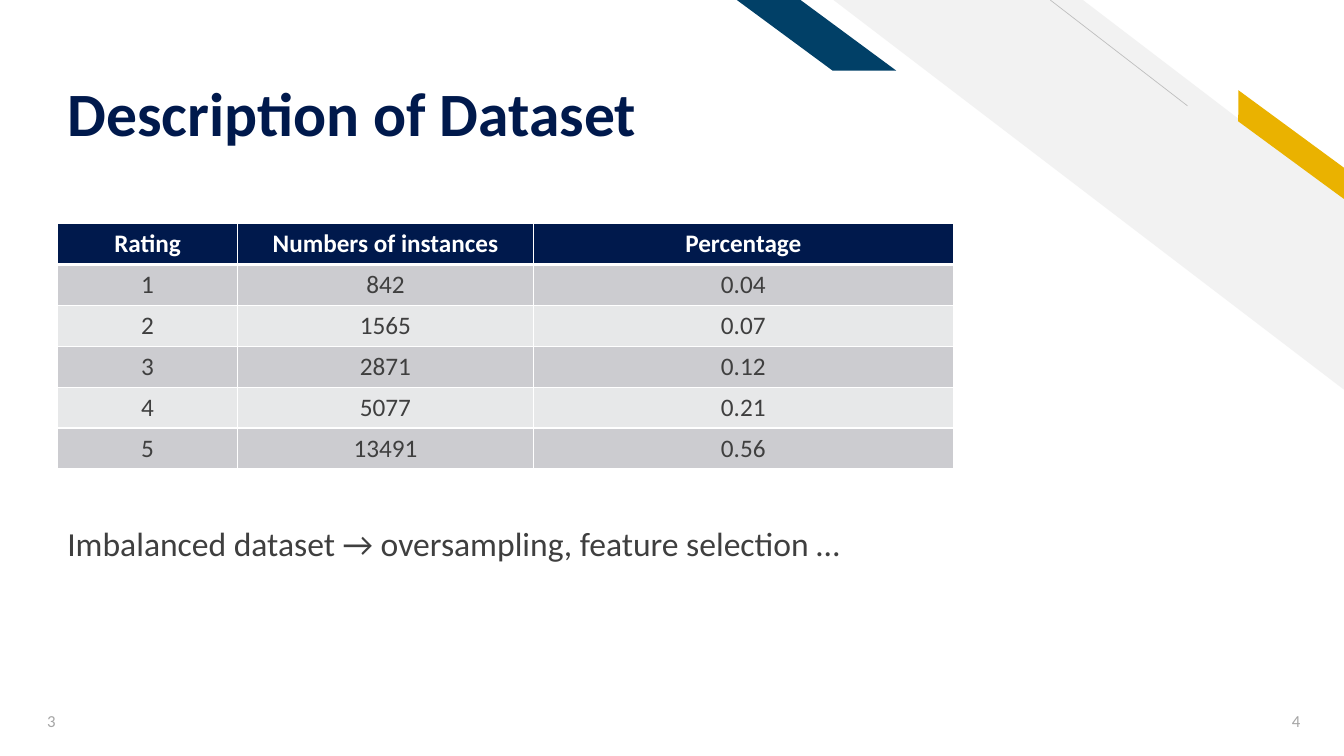
from lxml.etree import SubElement
from pptx import Presentation
from pptx.dml.color import RGBColor
from pptx.enum.shapes import MSO_CONNECTOR as Connector, MSO_SHAPE as Preset
from pptx.enum.text import MSO_ANCHOR as Anchor, MSO_AUTO_SIZE as AutoSize, PP_ALIGN as Align
from pptx.oxml.ns import qn
from pptx.util import Pt

FONT = "Calibri"
NAVY, TEAL, GOLD, WHITE = "00194C", "014067", "EAB200", "FFFFFF"
PALE, LINE_GREY, NUMBER_GREY, TEXT_GREY = "F2F2F2", "BFBFBF", "A5A5A5", "3F3F3F"
BANDS = ("CCCCD0", "E7E8E9")
LEFT = 41
COLUMN_WIDTHS = (128.9, 211, 300.2)
ROW_HEIGHT = 29.2
RATINGS = (
    ("Rating", "Numbers of instances", "Percentage"),
    ("1", "842", "0.04"),
    ("2", "1565", "0.07"),
    ("3", "2871", "0.12"),
    ("4", "5077", "0.21"),
    ("5", "13491", "0.56"),
)


def paint(color_format, color):
    color_format.rgb = RGBColor.from_string(color)


def fill_with(item, color):
    item.fill.solid()
    paint(item.fill.fore_color, color)


def style(para, size, color, bold=False, align=Align.LEFT):
    para.alignment = align
    para.font.name = FONT
    para.font.size = Pt(size)
    para.font.bold = bold
    paint(para.font.color, color)


def add_stripe(page, preset, bounds, adjustment, color, rotation=0):
    """Add a horizontally flipped decorative stripe."""
    stripe = page.shapes.add_shape(preset, *map(Pt, bounds))
    stripe.shadow.inherit = False
    stripe.adjustments[0] = adjustment
    stripe.rotation = rotation
    stripe._element.spPr.find(qn("a:xfrm")).set("flipH", "1")
    fill_with(stripe, color)
    stripe.line.fill.background()


def add_hairline(page, start, end):
    line = page.shapes.add_connector(Connector.STRAIGHT, *map(Pt, start + end))
    line.line.width = Pt(0.5)
    paint(line.line.color, LINE_GREY)
    SubElement(line._element.spPr, qn("a:effectLst"))


def add_text(page, text, bounds, size, color, align=Align.LEFT, anchor=Anchor.TOP):
    box = page.shapes.add_textbox(*map(Pt, bounds))
    frame = box.text_frame
    frame.word_wrap = True
    frame.vertical_anchor = anchor
    frame.text = text
    style(frame.paragraphs[0], size, color, align=align)


def set_title(page, text):
    title = page.shapes.title
    title.left, title.top, title.width, title.height = map(Pt, (LEFT, 16.6, 656, 90.7))
    frame = title.text_frame
    frame.text = text
    frame.word_wrap = True
    frame.auto_size = AutoSize.NONE
    frame.vertical_anchor = Anchor.BOTTOM
    frame.margin_bottom = 0
    para = frame.paragraphs[0]
    para.line_spacing = 0.9
    style(para, 44, NAVY, bold=True)


def add_borders(cell, top, bottom):
    properties = cell._tc.get_or_add_tcPr()
    for side, width in (("L", 1), ("R", 1), ("T", top), ("B", bottom)):
        border = SubElement(properties, qn(f"a:ln{side}"), w=str(Pt(width)))
        solid = SubElement(border, qn("a:solidFill"))
        SubElement(solid, qn("a:srgbClr"), val=WHITE)


def add_ratings_table(page, top):
    size = sum(COLUMN_WIDTHS), ROW_HEIGHT * len(RATINGS)
    frame = page.shapes.add_table(len(RATINGS), len(COLUMN_WIDTHS), *map(Pt, (LEFT, top) + size))
    table = frame.table
    for column, width in zip(table.columns, COLUMN_WIDTHS):
        column.width = Pt(width)
    for r, values in enumerate(RATINGS):
        table.rows[r].height = Pt(ROW_HEIGHT)
        header = r == 0
        for c, value in enumerate(values):
            cell = table.cell(r, c)
            cell.text = value
            style(cell.text_frame.paragraphs[0], 18, WHITE if header else TEXT_GREY,
                  bold=header, align=Align.CENTER)
            add_borders(cell, top=3 if r == 1 else 1, bottom=3 if header else 1)
            fill_with(cell, NAVY if header else BANDS[(r - 1) % 2])


def main():
    deck = Presentation()
    deck.slide_width, deck.slide_height = Pt(960), Pt(540)
    page = deck.slides.add_slide(deck.slide_layouts[5])

    # Corner decoration
    add_stripe(page, Preset.DIAGONAL_STRIPE, (595.4, 0, 365, 278.6), 0.512, PALE)
    add_hairline(page, (848.2, 75.6), (750.2, 0))
    add_stripe(page, Preset.PARALLELOGRAM, (869, 94.3, 106.6, 18), 0.72, GOLD, rotation=36.3)
    add_stripe(page, Preset.PARALLELOGRAM, (526.3, 0, 113.8, 50.4), 1.356, TEAL)

    # Content
    set_title(page, "Description of Dataset")
    add_ratings_table(page, 159.8)
    add_text(page, "Imbalanced dataset → oversampling, feature selection …",
             (LEFT, 370, 569.5, 36), 24, TEXT_GREY)

    # Page numbers
    add_text(page, "3", (26.6, 500.4, 324, 28.8), 12, NUMBER_GREY, anchor=Anchor.MIDDLE)
    add_text(page, "4", (877.7, 500.4, 58.3, 28.8), 12, NUMBER_GREY,
             align=Align.RIGHT, anchor=Anchor.MIDDLE)

    deck.save("out.pptx")


if __name__ == "__main__":
    main()
